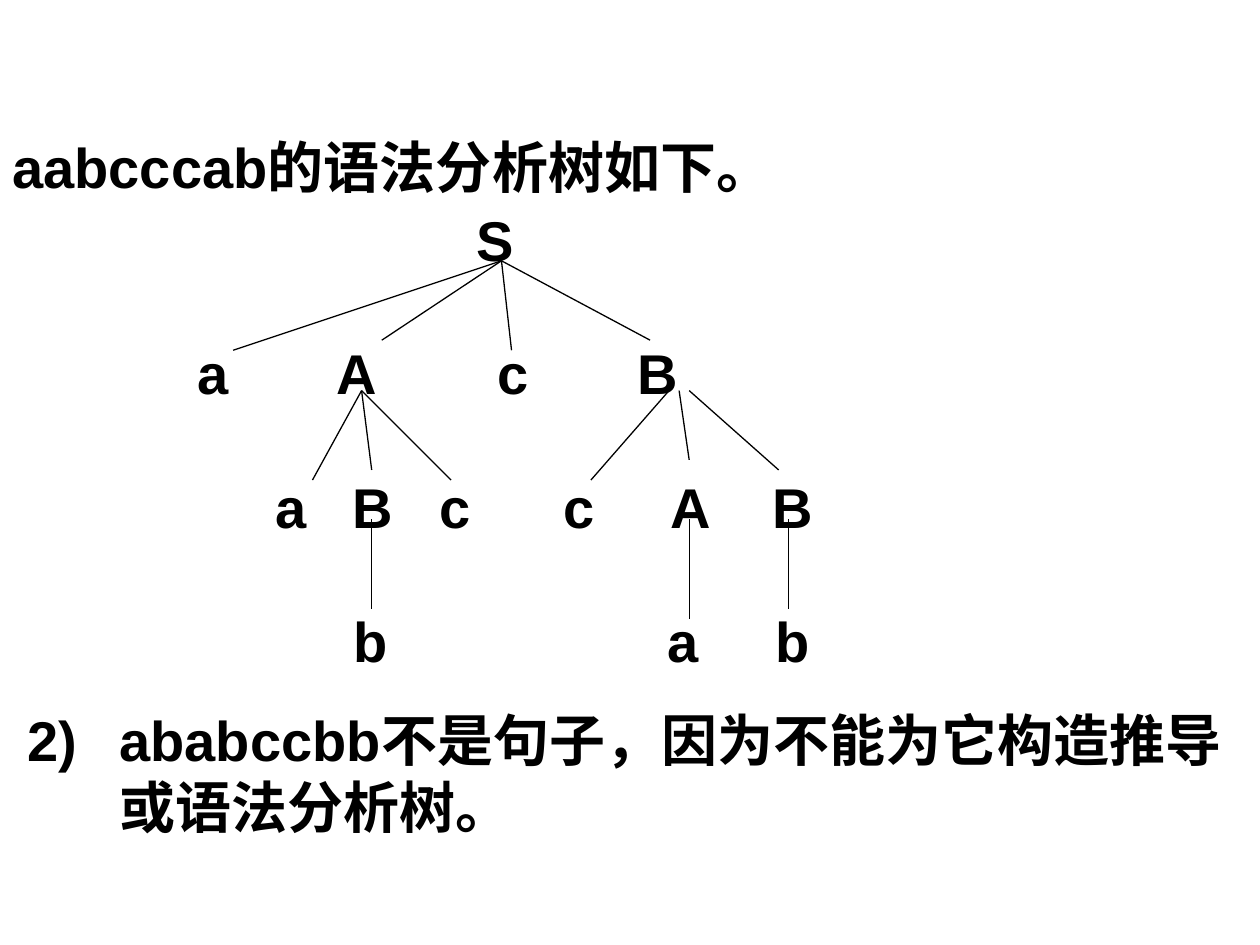
from lxml.etree import SubElement
from pptx import Presentation
from pptx.dml.color import RGBColor
from pptx.enum.shapes import MSO_CONNECTOR
from pptx.enum.text import PP_ALIGN
from pptx.oxml.ns import qn
from pptx.util import Inches, Pt

BLACK = RGBColor(0, 0, 0)

# Node labels of each tree level with their horizontal centres
LEVELS = [
    [("S", 3.93)],
    [("a", 1.69), ("A", 2.83), ("c", 4.07), ("B", 5.22)],
    [("a", 2.31), ("B", 2.96), ("c", 3.61), ("c", 4.6), ("A", 5.48), ("B", 6.29)],
    [("b", 2.94), ("a", 5.42), ("b", 6.29)],
]
FIRST_LEVEL_TOP = 1.63
LEVEL_PITCH = 1.06
NODE_WIDTH = 0.5
NODE_HEIGHT = 0.51

# Start point of each fan of branches, with the end points of its branches
BRANCHES = [
    ((3.98, 2.07), [(1.85, 2.78), (3.03, 2.7), (4.06, 2.78), (5.16, 2.7)]),
    ((2.87, 3.1), [(2.48, 3.81), (2.95, 3.73), (3.58, 3.81)]),
    ((5.31, 3.1), [(4.69, 3.81)]),
    ((5.39, 3.1), [(5.47, 3.65)]),
    ((5.47, 3.1), [(6.18, 3.73)]),
    ((2.95, 4.12), [(2.95, 4.83)]),
    ((5.47, 4.12), [(5.47, 4.91)]),
    ((6.26, 4.12), [(6.26, 4.83)]),
]


class TreeSlide:
    def __init__(self, slide):
        self.slide = slide
        self.font_name = "Arial"
        self.font_size = Pt(32)
        self.line_width = Pt(0.75)

    def text(self, text, left, top, width, height, hanging=0):
        box = self.slide.shapes.add_textbox(
            Inches(left), Inches(top), Inches(width), Inches(height))
        frame = box.text_frame
        frame.word_wrap = True
        frame.text = text
        paragraph = frame.paragraphs[0]
        if hanging:
            properties = paragraph._p.get_or_add_pPr()
            properties.set("marL", str(Inches(hanging)))
            properties.set("indent", str(-Inches(hanging)))
        for run in paragraph.runs:
            run.font.name = self.font_name
            run.font.size = self.font_size
            run.font.bold = True
            run.font.color.rgb = BLACK
        return frame

    def node(self, label, centre, top):
        frame = self.text(label, centre - NODE_WIDTH / 2, top, NODE_WIDTH, NODE_HEIGHT)
        frame.margin_left = frame.margin_right = 0
        frame.margin_top = frame.margin_bottom = 0
        frame.paragraphs[0].alignment = PP_ALIGN.CENTER

    def branch(self, start, end):
        points = [Inches(value) for value in (*start, *end)]
        connector = self.slide.shapes.add_connector(MSO_CONNECTOR.STRAIGHT, *points)
        connector.line.color.rgb = BLACK
        connector.line.width = self.line_width
        SubElement(connector._element.spPr, qn("a:effectLst"))


def main():
    presentation = Presentation()
    presentation.slide_width = Inches(10)
    presentation.slide_height = Inches(7.5)
    tree = TreeSlide(presentation.slides.add_slide(presentation.slide_layouts[6]))

    tree.text("aabcccab的语法分析树如下。", 0, 1, 10, 0.63)
    for level, nodes in enumerate(LEVELS):
        for label, centre in nodes:
            tree.node(label, centre, FIRST_LEVEL_TOP + level * LEVEL_PITCH)
    for start, ends in BRANCHES:
        for end in ends:
            tree.branch(start, end)
    tree.text("2)\tababccbb不是句子，因为不能为它构造推导或语法分析树。",
              0.12, 5.55, 9.88, 1.17, hanging=0.73)

    presentation.save("out.pptx")


if __name__ == "__main__":
    main()
